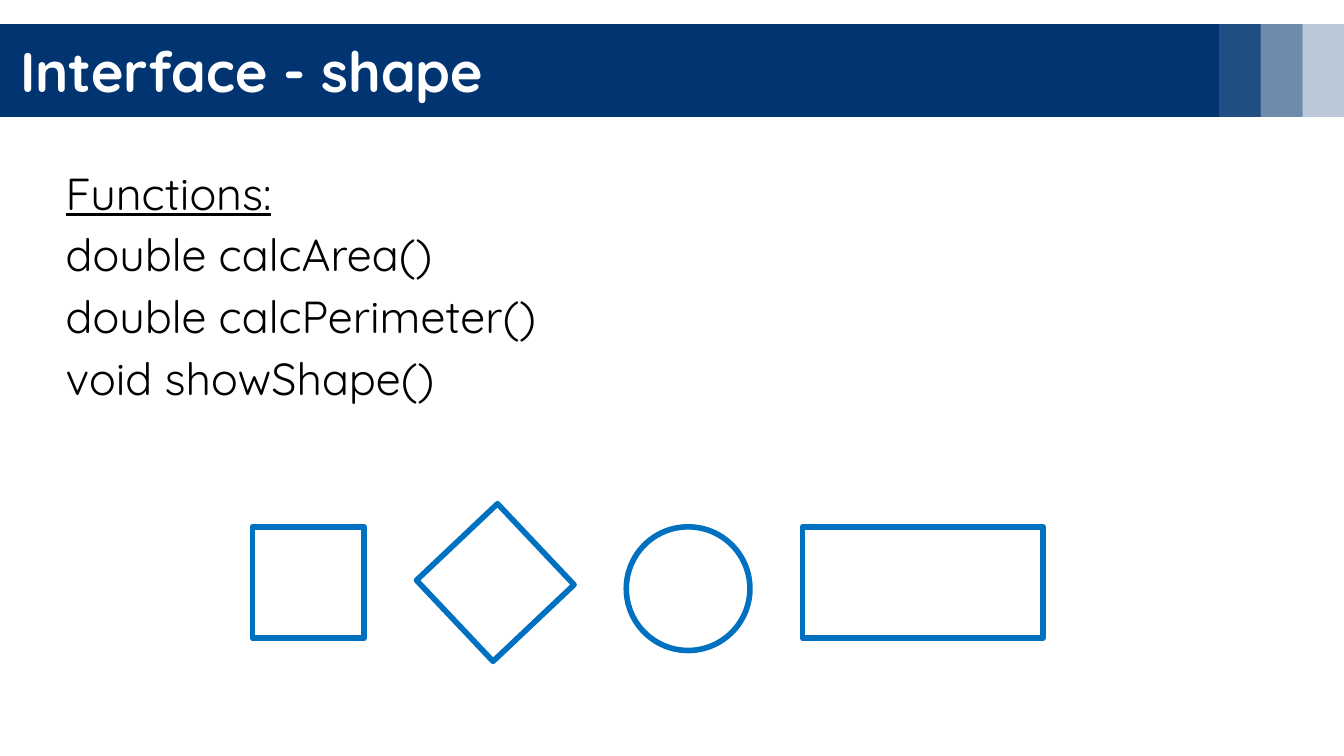
"""Build the slide that presents the shape interface and its example outlines."""
from dataclasses import dataclass
from typing import Optional

import pptx
import pptx.dml.color
import pptx.enum.shapes
import pptx.enum.text
import pptx.oxml
import pptx.oxml.ns
import pptx.util
from pptx.util import Inches

COLORS = {"banner": "013471", "outline": "0070C0", "light": "FFFFFF", "ink": "000000"}
FONT = "Quicksand"
RECTANGLE = pptx.enum.shapes.MSO_SHAPE.RECTANGLE
OVAL = pptx.enum.shapes.MSO_SHAPE.OVAL


@dataclass(frozen=True)
class Figure:
    """A preset shape with its place in inches and its paint."""

    left: float
    top: float
    width: float
    height: float
    preset: int = RECTANGLE
    fill: Optional[str] = None
    opacity: int = 100
    outline: Optional[str] = None
    rotation: float = 0


def rgb(name: str) -> pptx.dml.color.RGBColor:
    """Return the named colour."""
    return pptx.dml.color.RGBColor.from_string(COLORS[name])


def draw_figure(shapes, figure: Figure) -> None:
    """Draw one figure on a slide or in a group."""
    shape = shapes.add_shape(
        figure.preset,
        Inches(figure.left), Inches(figure.top),
        Inches(figure.width), Inches(figure.height),
    )
    shape.shadow.inherit = False
    shape.rotation = figure.rotation
    if figure.fill:
        shape.fill.solid()
        shape.fill.fore_color.rgb = rgb(figure.fill)
        if figure.opacity < 100:
            tint = shape.element.find(".//" + pptx.oxml.ns.qn("a:srgbClr"))
            alpha = pptx.oxml.parse_xml(f"<a:alpha {pptx.oxml.ns.nsdecls('a')}/>")
            alpha.set("val", str(figure.opacity * 1000))
            tint.append(alpha)
    else:
        shape.fill.background()
    if figure.outline:
        shape.line.color.rgb = rgb(figure.outline)
        shape.line.width = pptx.util.Pt(3)
    else:
        shape.line.fill.background()


def add_text(shapes, lines: list[str], *, left: float, top: float, width: float,
             height: float, size: float, color: str, inset: float, bold: bool = False,
             spacing: float = 1.0, underline_first: bool = False) -> None:
    """Add a text box with one paragraph for each line."""
    frame = shapes.add_textbox(
        Inches(left), Inches(top), Inches(width), Inches(height)
    ).text_frame
    frame.word_wrap = True
    frame.vertical_anchor = pptx.enum.text.MSO_ANCHOR.TOP
    frame.margin_left = frame.margin_right = Inches(inset)
    frame.margin_top = frame.margin_bottom = Inches(inset)
    for index, line in enumerate(lines):
        paragraph = frame.add_paragraph() if index else frame.paragraphs[0]
        paragraph.line_spacing = spacing
        run = paragraph.add_run()
        run.text = line
        run.font.name = FONT
        run.font.size = pptx.util.Pt(size)
        run.font.bold = bold
        run.font.underline = underline_first and index == 0
        run.font.color.rgb = rgb(color)


def main() -> None:
    """Build and save the slide."""
    presentation = pptx.Presentation()
    presentation.slide_width = Inches(10)
    presentation.slide_height = Inches(10 * 9 / 16)
    slide = presentation.slides.add_slide(presentation.slide_layouts[6])

    banner_top, banner_height, band_width = 0.18, 0.69, 0.31
    banner = slide.shapes.add_group_shape()
    draw_figure(banner.shapes, Figure(0, banner_top, 10, banner_height, fill="banner"))
    for position, opacity in enumerate((73, 43, 13), start=1):
        draw_figure(banner.shapes, Figure(
            10 - position * band_width, banner_top, band_width, banner_height,
            fill="light", opacity=opacity))

    add_text(slide.shapes, ["Interface - shape"], left=0.08, top=0.2, width=3.79,
             height=0.67, size=30, color="light", inset=0.07, bold=True)
    functions = ["Functions:", "double calcArea()", "double calcPerimeter()",
                 "void showShape()"]
    add_text(slide.shapes, functions, left=0.39, top=1.07, width=5.18, height=3.17,
             size=24, color="ink", inset=0.1, spacing=1.15, underline_first=True)

    examples_top, side, diameter = 3.92, 0.83, 0.92
    examples = [
        Figure(1.88, examples_top, side, side, outline="outline"),
        Figure(3.27, examples_top, side, side, outline="outline", rotation=46.6),
        Figure(5.97, examples_top, 1.79, side, outline="outline"),
        Figure(4.66, examples_top, diameter, diameter, preset=OVAL, outline="outline"),
    ]
    for example in examples:
        draw_figure(slide.shapes, example)

    presentation.save("out.pptx")


if __name__ == "__main__":
    main()
